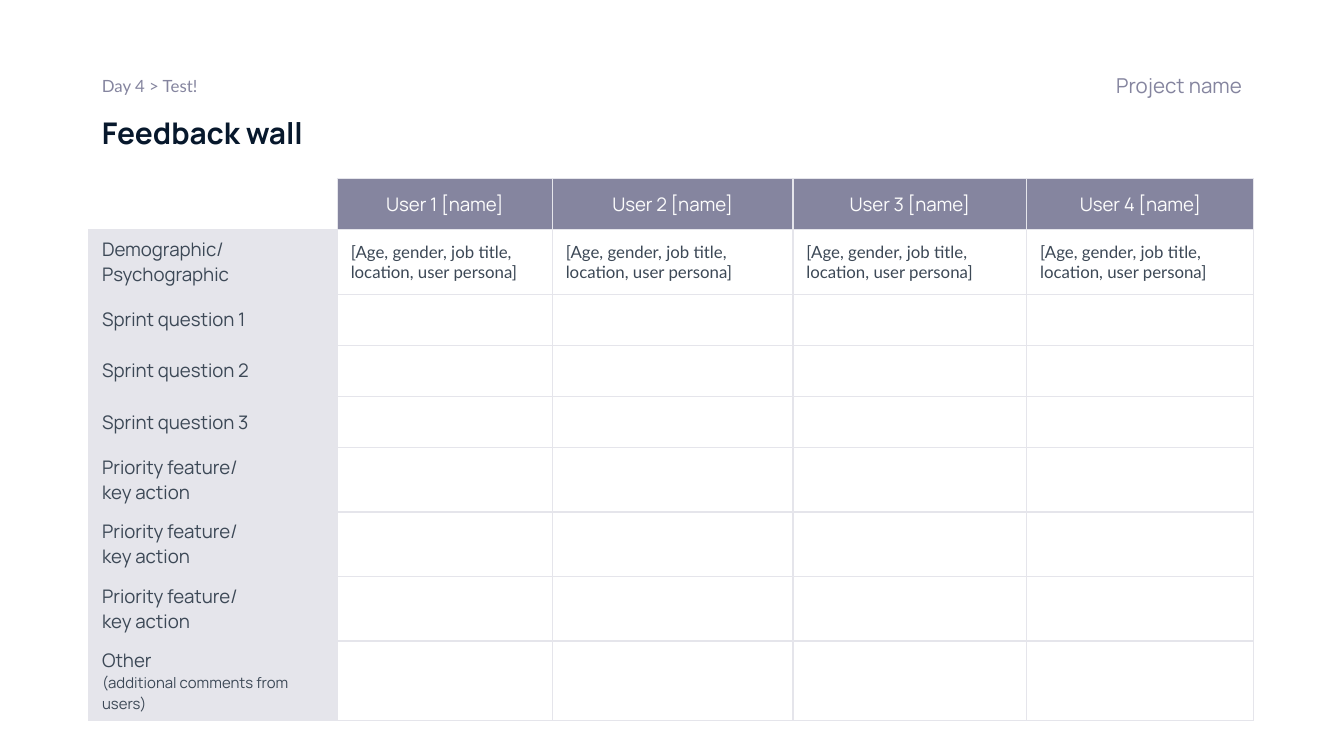
"""Build the feedback wall slide: three headings above a grid of users and questions."""
from lxml.etree import SubElement
from pptx import Presentation
from pptx.dml.color import RGBColor
from pptx.enum.text import MSO_ANCHOR as ANCHOR, PP_ALIGN as ALIGN
from pptx.oxml.ns import qn
from pptx.util import Inches, Pt

COLORS = {"ink": "07182C", "mauve": "85859F", "pale": "E5E5EB", "white": "FCFCFC", "slate": "3C4856"}

HEADINGS = [
    ("Feedback wall", (0.66, 0.74, 6.49, 0.47), (0.11, 0.1), ANCHOR.TOP, ALIGN.LEFT,
     {"size": 16, "name": "Manrope", "color": "ink", "bold": True}),
    ("Project name", (5, 0.46, 4.34, 0.33), (0.1, 0.06), ANCHOR.BOTTOM, ALIGN.RIGHT,
     {"size": 11, "name": "Manrope", "color": "mauve"}),
    ("Day 4 > Test!", (0.66, 0.48, 2.14, 0.27), (0.12, 0.1), ANCHOR.TOP, ALIGN.LEFT,
     {"size": 9, "name": "Lato", "color": "mauve"}),
]
USERS = [f"User {n} [name]" for n in range(1, 5)]
PERSONA = "[Age, gender, job title, location, user persona]"
LABELS = [
    ["Demographic/", "Psychographic"],
    *[[f"Sprint question {n}"] for n in range(1, 4)],
    *[["Priority feature/", "key action"]] * 3,
    ["Other", "(additional comments from users)"],
]
COL_WIDTHS = [1.85, 1.6, 1.79, 1.74, 1.69]
ONE_LINE_H, TWO_LINE_H, LAST_H = 0.38, 0.48, 0.59

HEAD = {"size": 10, "name": "Manrope", "color": "white"}
LABEL = {**HEAD, "color": "slate"}
NOTE = {**LABEL, "size": 8}
BODY = {"size": 9, "name": "Lato", "color": "slate"}


def write(tf, lines, align=ALIGN.LEFT):
    for i, (text, fmt) in enumerate(lines):
        p = tf.paragraphs[0] if i == 0 else tf.add_paragraph()
        p.alignment = align
        r = p.add_run()
        r.text = text
        for key, value in fmt.items():
            if key == "color":
                r.font.color.rgb = RGBColor.from_string(COLORS[value])
            else:
                setattr(r.font, key, Pt(value) if key == "size" else value)


def style_cell(cell, sides, fill=None):
    cell.vertical_anchor = ANCHOR.MIDDLE
    tcPr = cell._tc.get_or_add_tcPr()
    for side in "LRTB":
        ln = SubElement(tcPr, qn(f"a:ln{side}"), w=str(Pt(0.75)))
        if side in sides:
            solid = SubElement(ln, qn("a:solidFill"))
            SubElement(solid, qn("a:srgbClr"), val=COLORS["pale"])
        else:
            SubElement(ln, qn("a:noFill"))
    if fill:
        cell.fill.solid()
        cell.fill.fore_color.rgb = RGBColor.from_string(COLORS[fill])
    else:
        cell.fill.background()


def cell_content(row, col):
    if row == 0:
        return [(USERS[col - 1], HEAD)] if col else []
    if col == 0:
        return [(t, NOTE if t.startswith("(") else LABEL) for t in LABELS[row - 1]]
    return [(PERSONA, BODY)] if row == 1 else []


def add_wall(s):
    heights = [ONE_LINE_H] + [ONE_LINE_H if len(t) == 1 else TWO_LINE_H for t in LABELS]
    heights[-1] = LAST_H
    frame = s.shapes.add_table(len(heights), len(COL_WIDTHS), Inches(0.66), Inches(1.33),
                               Inches(sum(COL_WIDTHS)), Inches(sum(heights)))
    table = frame.table
    table.first_row = table.horz_banding = False
    for column, width in zip(table.columns, COL_WIDTHS):
        column.width = Inches(width)
    for i, height in enumerate(heights):
        table.rows[i].height = Inches(height)
        for j in range(len(COL_WIDTHS)):
            cell = table.cell(i, j)
            corner = i == j == 0
            fill = None if corner else "mauve" if i == 0 else "pale" if j == 0 else None
            style_cell(cell, "RB" if corner else "LRTB", fill)
            content = cell_content(i, j)
            write(cell.text_frame, content, ALIGN.CENTER if i == 0 else ALIGN.LEFT)
            if not content:
                p = cell.text_frame.paragraphs[0]
                SubElement(p._p, qn("a:endParaRPr"), sz="1000")


def main():
    prs = Presentation()
    prs.slide_width = Inches(10)
    prs.slide_height = prs.slide_width * 9 // 16
    s = prs.slides.add_slide(prs.slide_layouts[6])
    for text, box, (top, bottom), anchor, align, fmt in HEADINGS:
        tf = s.shapes.add_textbox(*map(Inches, box)).text_frame
        tf.word_wrap = True
        tf.vertical_anchor = anchor
        tf.margin_left = tf.margin_right = Inches(0.1)
        tf.margin_top, tf.margin_bottom = Inches(top), Inches(bottom)
        write(tf, [(text, fmt)], align)
    add_wall(s)
    prs.save("out.pptx")


if __name__ == "__main__":
    main()
